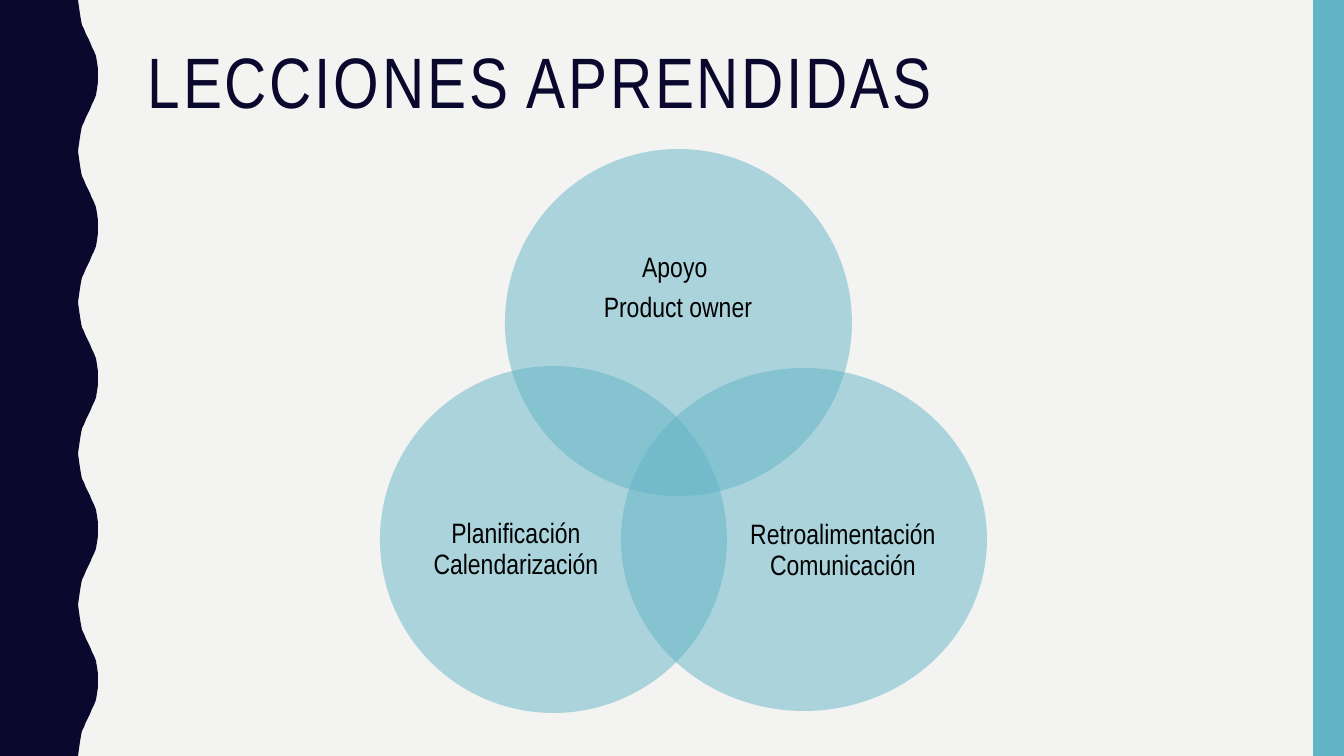
"""Build a slide of lessons learned as a three-circle Venn diagram."""
import pptx
import pptx.dml.color
import pptx.enum.shapes
import pptx.enum.text
import pptx.oxml
import pptx.oxml.ns
import pptx.util

SCALE = 914400 / 100.8
WIDTH, HEIGHT = 1344, 756
NAVY, TEAL, PAPER, BLACK = "0B082E", "62B4C6", "F3F3F2", "000000"
FONT = "Arial Narrow"
WAVES = 5
HALF_WAVE = [(78, 0), (79, 7), (80, 14), (81, 20), (82, 25), (84, 29), (86, 34),
             (88, 38), (90, 42), (92, 47), (94, 51), (96, 56), (97, 62), (98, 69)]
CIRCLES = [
    ((505, 149, 347, 347), (551, 210, 254, 156), ["Apoyo ", "Product owner"]),
    ((621, 368, 366, 343), (733, 457, 220, 188), ["Retroalimentación Comunicación"]),
    ((380, 366, 347, 347), (412, 455, 208, 190), ["Planificación Calendarización"]),
]


def px(length):
    """Turn pixels into EMU."""
    return pptx.util.Emu(round(length * SCALE))


def color(value):
    """Turn a hex string into a colour."""
    return pptx.dml.color.RGBColor.from_string(value)


def paint(shape, fill, opacity=100):
    """Fill a shape with one colour, without line or shadow."""
    shape.shadow.inherit = False
    shape.line.fill.background()
    shape.fill.solid()
    shape.fill.fore_color.rgb = color(fill)
    if opacity < 100:
        tone = shape.fill._xPr.find(".//" + pptx.oxml.ns.qn("a:srgbClr"))
        alpha = pptx.oxml.parse_xml(f'<a:alpha {pptx.oxml.ns.nsdecls("a")} val="{opacity * 1000}"/>')
        tone.append(alpha)


def add_preset(page, kind, place, fill, opacity=100):
    """Add a preset shape in one flat colour."""
    shape = page.shapes.add_shape(kind, *map(px, place))
    paint(shape, fill, opacity)


def add_wavy_band(page):
    """Add the left band with its wavy right edge."""
    period = HEIGHT / WAVES
    crest = (HALF_WAVE[-1][0], period / 2)
    falling = [(x, period - y) for x, y in reversed(HALF_WAVE[1:])]
    wave = HALF_WAVE + [crest] + falling
    edge = [(x, y + index * period) for index in range(WAVES) for x, y in wave]
    outline = edge + [(HALF_WAVE[0][0], HEIGHT), (0, HEIGHT)]
    builder = page.shapes.build_freeform(0, 0, scale=1.0)
    builder.add_line_segments([(px(x), px(y)) for x, y in outline], close=True)
    paint(builder.convert_to_shape(), NAVY)


def add_text(page, place, lines, size, ink):
    """Add a wrapping text box and return it."""
    box = page.shapes.add_textbox(*map(px, place))
    frame = box.text_frame
    frame.word_wrap = True
    frame.text = "\n".join(lines)
    for para in frame.paragraphs:
        para.line_spacing = 0.9
        para.font.name = FONT
        para.font.size = pptx.util.Pt(size)
        para.font.color.rgb = color(ink)
    return box


def add_title(page, title):
    """Add the letter-spaced title."""
    box = add_text(page, (138, 42, 1042, 164), [title], 51, NAVY)
    for span in box.text_frame.paragraphs[0].runs:
        span.font._element.set("spc", "200")


def add_label(page, place, lines):
    """Add a centred circle label."""
    frame = add_text(page, place, lines, 20, BLACK).text_frame
    frame.vertical_anchor = pptx.enum.text.MSO_ANCHOR.MIDDLE
    frame.margin_left = frame.margin_right = frame.margin_top = frame.margin_bottom = 0
    for para in frame.paragraphs:
        para.alignment = pptx.enum.text.PP_ALIGN.CENTER
        para.space_after = pptx.util.Pt(7)


def main():
    """Build and save the deck."""
    shapes = pptx.enum.shapes.MSO_SHAPE
    deck = pptx.Presentation()
    deck.slide_width, deck.slide_height = px(WIDTH), px(HEIGHT)
    page = deck.slides.add_slide(deck.slide_layouts[6])
    page.background.fill.solid()
    page.background.fill.fore_color.rgb = color(PAPER)
    add_wavy_band(page)
    add_preset(page, shapes.RECTANGLE, (1313, 0, 31, HEIGHT), TEAL)
    add_title(page, "LECCIONES APRENDIDAS")
    for circle, label, lines in CIRCLES:
        add_preset(page, shapes.OVAL, circle, TEAL, 50)
        add_label(page, label, lines)
    deck.save("out.pptx")


if __name__ == "__main__":
    main()
